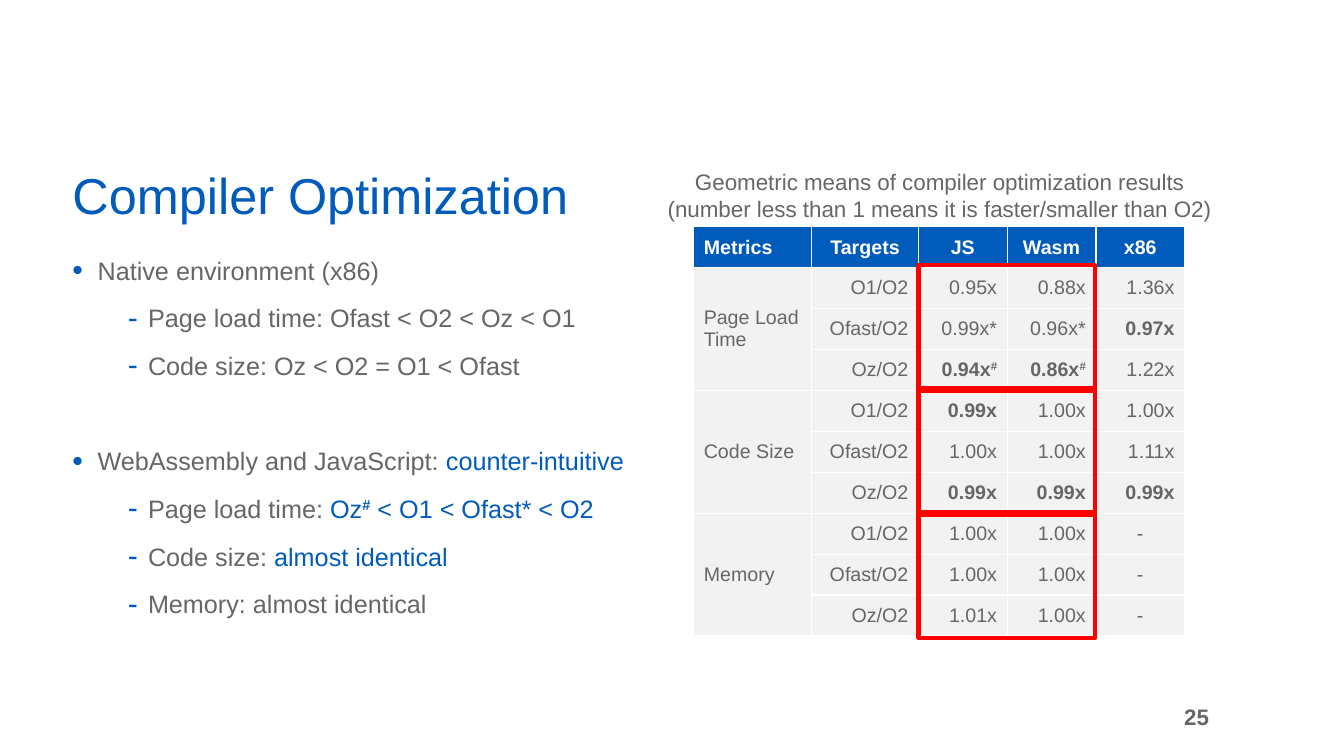
"""Build the slide on compiler optimization results."""
from dataclasses import dataclass

from lxml.etree import SubElement
from pptx import Presentation
from pptx.dml.color import RGBColor
from pptx.enum.shapes import MSO_SHAPE
from pptx.enum.text import MSO_ANCHOR, PP_ALIGN
from pptx.oxml.ns import qn
from pptx.slide import Slide
from pptx.table import _Cell
from pptx.text.text import TextFrame, _Paragraph, _Run
from pptx.util import Inches, Pt

FONT = "Arial"
BLUE, GRAY, PALE, WHITE, RED = "005BBB", "666666", "F2F2F2", "FFFFFF", "FF0000"


@dataclass(frozen=True)
class Span:
    text: str
    color: str = GRAY
    bold: bool = False
    raised: bool = False


@dataclass(frozen=True)
class Bullet:
    spans: tuple[Span, ...]
    level: int = 1
    space_before: int = 6


@dataclass(frozen=True)
class Label:
    text: str
    left: float
    top: float
    width: float
    height: float
    size: int
    color: str = GRAY
    bold: bool = False
    align: PP_ALIGN = PP_ALIGN.LEFT
    anchor: MSO_ANCHOR = MSO_ANCHOR.TOP
    line_spacing: float = 1.0


@dataclass(frozen=True)
class Metric:
    name: str
    rows: tuple[tuple[str, str, str], ...]


LABELS = (
    Label("Compiler Optimization", 0.62, 1.64, 8.19, 0.65, 36, BLUE,
          anchor=MSO_ANCHOR.BOTTOM, line_spacing=0.9),
    Label("Geometric means of compiler optimization results "
          "(number less than 1 means it is faster/smaller than O2)",
          6.44, 1.62, 5.76, 0.64, 16, align=PP_ALIGN.CENTER),
    Label("25", 7.59, 6.91, 4.5, 0.4, 16, bold=True,
          align=PP_ALIGN.RIGHT, anchor=MSO_ANCHOR.MIDDLE),
)

BULLETS = (
    Bullet((Span("Native environment (x86)"),), level=0),
    Bullet((Span("Page load time: Ofast < O2 < Oz < O1"),)),
    Bullet((Span("Code size: Oz < O2 = O1 < Ofast"),)),
    Bullet((Span("WebAssembly and JavaScript: "), Span("counter-intuitive", BLUE)),
           level=0, space_before=40),
    Bullet((Span("Page load time: "), Span("Oz", BLUE), Span("#", BLUE, True, True),
            Span(" < O1 < Ofast* < O2", BLUE))),
    Bullet((Span("Code size: "), Span("almost identical", BLUE))),
    Bullet((Span("Memory: almost identical"),)),
)

HEADERS = ("Metrics", "Targets", "JS", "Wasm", "x86")
TARGETS = ("O1/O2", "Ofast/O2", "Oz/O2")
METRICS = (
    Metric("Page Load Time", (("0.95x", "0.88x", "1.36x"),
                              ("0.99x*", "0.96x*", "0.97x"),
                              ("0.94x#", "0.86x#", "1.22x"))),
    Metric("Code Size", (("0.99x", "1.00x", "1.00x"),
                         ("1.00x", "1.00x", "1.11x"),
                         ("0.99x", "0.99x", "0.99x"))),
    Metric("Memory", (("1.00x", "1.00x", "-"),
                      ("1.00x", "1.00x", "-"),
                      ("1.01x", "1.00x", "-"))),
)
COLUMN_WIDTHS = (1.17, 1.06, 0.88, 0.88, 0.88)


def rgb(color: str) -> RGBColor:
    return RGBColor.from_string(color)


def style_run(run: _Run, size: int, color: str, bold: bool) -> None:
    run.font.name = FONT
    run.font.size = Pt(size)
    run.font.bold = bold
    run.font.color.rgb = rgb(color)


def write_spans(para: _Paragraph, spans: tuple[Span, ...], size: int) -> None:
    for span in spans:
        run = para.add_run()
        run.text = span.text
        style_run(run, size, span.color, span.bold)
        if span.raised:
            run._r.get_or_add_rPr().set("baseline", "30000")


def add_text_frame(slide: Slide, left: float, top: float, width: float, height: float) -> TextFrame:
    box = slide.shapes.add_textbox(Inches(left), Inches(top), Inches(width), Inches(height))
    box.text_frame.word_wrap = True
    return box.text_frame


def draw_label(slide: Slide, label: Label) -> None:
    frame = add_text_frame(slide, label.left, label.top, label.width, label.height)
    frame.text = label.text
    frame.vertical_anchor = label.anchor
    para = frame.paragraphs[0]
    para.alignment = label.align
    para.line_spacing = label.line_spacing
    style_run(para.runs[0], label.size, label.color, label.bold)


def set_bullet(para: _Paragraph, level: int) -> None:
    indent, hanging, symbol = ((0.25, 0.25, "•"), (0.75, 0.2, "-"))[level]
    properties = para._p.get_or_add_pPr()
    properties.set("marL", str(Inches(indent)))
    properties.set("indent", str(-Inches(hanging)))
    SubElement(SubElement(properties, qn("a:buClr")), qn("a:srgbClr"), val=BLUE)
    SubElement(properties, qn("a:buSzPct"), val="120000")
    SubElement(properties, qn("a:buFont"), typeface=FONT)
    SubElement(properties, qn("a:buChar"), char=symbol)


def draw_bullets(slide: Slide) -> None:
    frame = add_text_frame(slide, 0.62, 2.39, 7.6, 4.34)
    for index, bullet in enumerate(BULLETS):
        para = frame.add_paragraph() if index else frame.paragraphs[0]
        para.level = bullet.level
        para.line_spacing = 1.3
        para.space_before = Pt(bullet.space_before)
        set_bullet(para, bullet.level)
        write_spans(para, bullet.spans, 18)


def fill_cell(cell: _Cell, spans: tuple[Span, ...], align: PP_ALIGN, fill: str = PALE) -> None:
    cell.fill.solid()
    cell.fill.fore_color.rgb = rgb(fill)
    cell.vertical_anchor = MSO_ANCHOR.MIDDLE
    para = cell.text_frame.paragraphs[0]
    para.alignment = align
    write_spans(para, spans, 14)


def value_spans(value: str, bold: bool) -> tuple[Span, ...]:
    number, mark, _ = value.partition("#")
    spans = (Span(number, bold=bold),)
    return spans + (Span(mark, bold=bold, raised=True),) if mark else spans


def draw_table(slide: Slide) -> None:
    row_count = 1 + len(METRICS) * len(TARGETS)
    table = slide.shapes.add_table(row_count, len(HEADERS), Inches(6.88), Inches(2.25),
                                   Inches(4.87), Inches(4.06)).table
    table.horz_banding = False
    for column, width in zip(table.columns, COLUMN_WIDTHS):
        column.width = Inches(width)
    for index, header in enumerate(HEADERS):
        align = PP_ALIGN.CENTER if index else PP_ALIGN.LEFT
        fill_cell(table.cell(0, index), (Span(header, WHITE, True),), align, BLUE)
    for group, metric in enumerate(METRICS):
        first = 1 + group * len(TARGETS)
        table.cell(first, 0).merge(table.cell(first + len(TARGETS) - 1, 0))
        fill_cell(table.cell(first, 0), (Span(metric.name),), PP_ALIGN.LEFT)
        best = [min(float(value[:4]) if value != "-" else 1 for value in values)
                for values in zip(*metric.rows)]
        for row, (target, values) in enumerate(zip(TARGETS, metric.rows), first):
            fill_cell(table.cell(row, 1), (Span(target),), PP_ALIGN.RIGHT)
            for column, value in enumerate(values):
                bold = value != "-" and float(value[:4]) == best[column] < 1
                align = PP_ALIGN.CENTER if value == "-" else PP_ALIGN.RIGHT
                fill_cell(table.cell(row, column + 2), value_spans(value, bold), align)


def draw_highlights(slide: Slide) -> None:
    for group in range(len(METRICS)):
        frame = slide.shapes.add_shape(MSO_SHAPE.RECTANGLE, Inches(9.11),
                                       Inches(2.63 + 2.45 * group / 2), Inches(1.75), Inches(1.25))
        frame.shadow.inherit = False
        frame.fill.background()
        frame.line.color.rgb = rgb(RED)
        frame.line.width = Pt(3)


def main() -> None:
    deck = Presentation()
    deck.slide_width, deck.slide_height = Inches(13.33), Inches(7.5)
    page = deck.slides.add_slide(deck.slide_layouts[6])
    for label in LABELS:
        draw_label(page, label)
    draw_bullets(page)
    draw_table(page)
    draw_highlights(page)
    deck.save("out.pptx")


if __name__ == "__main__":
    main()
